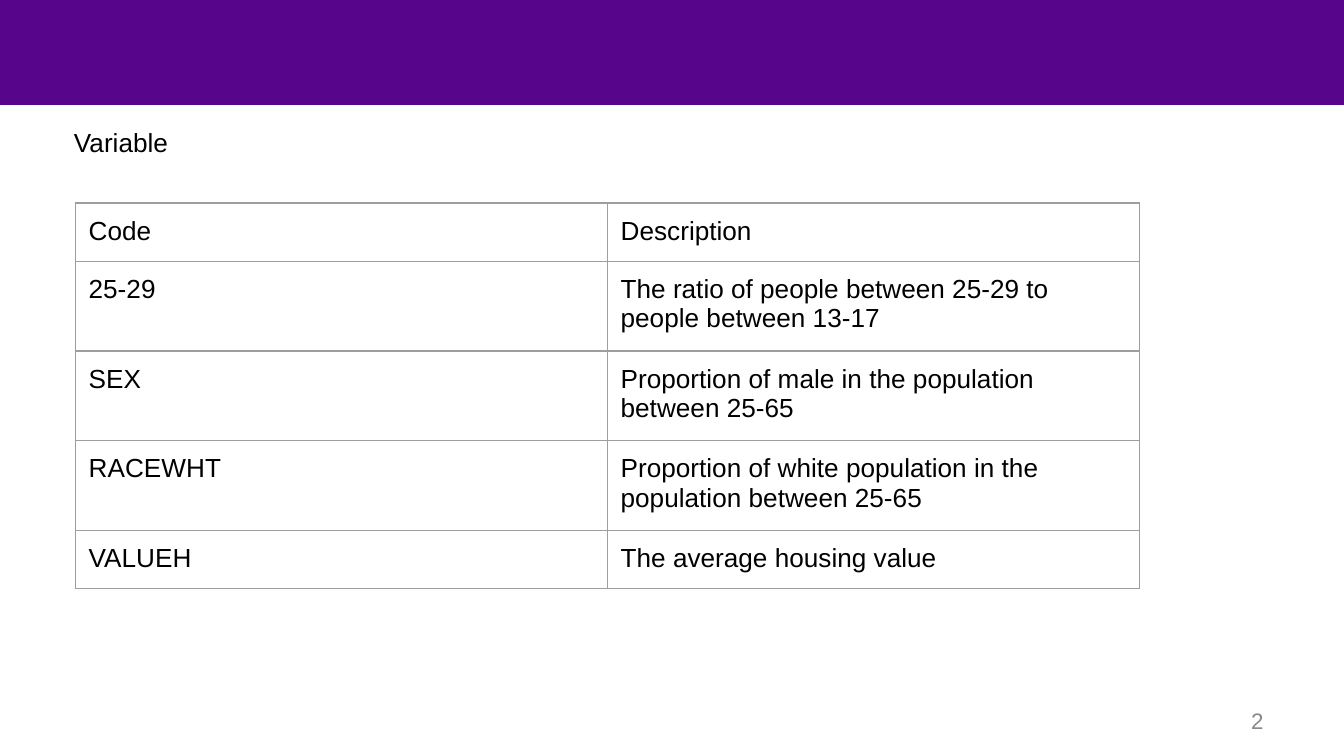
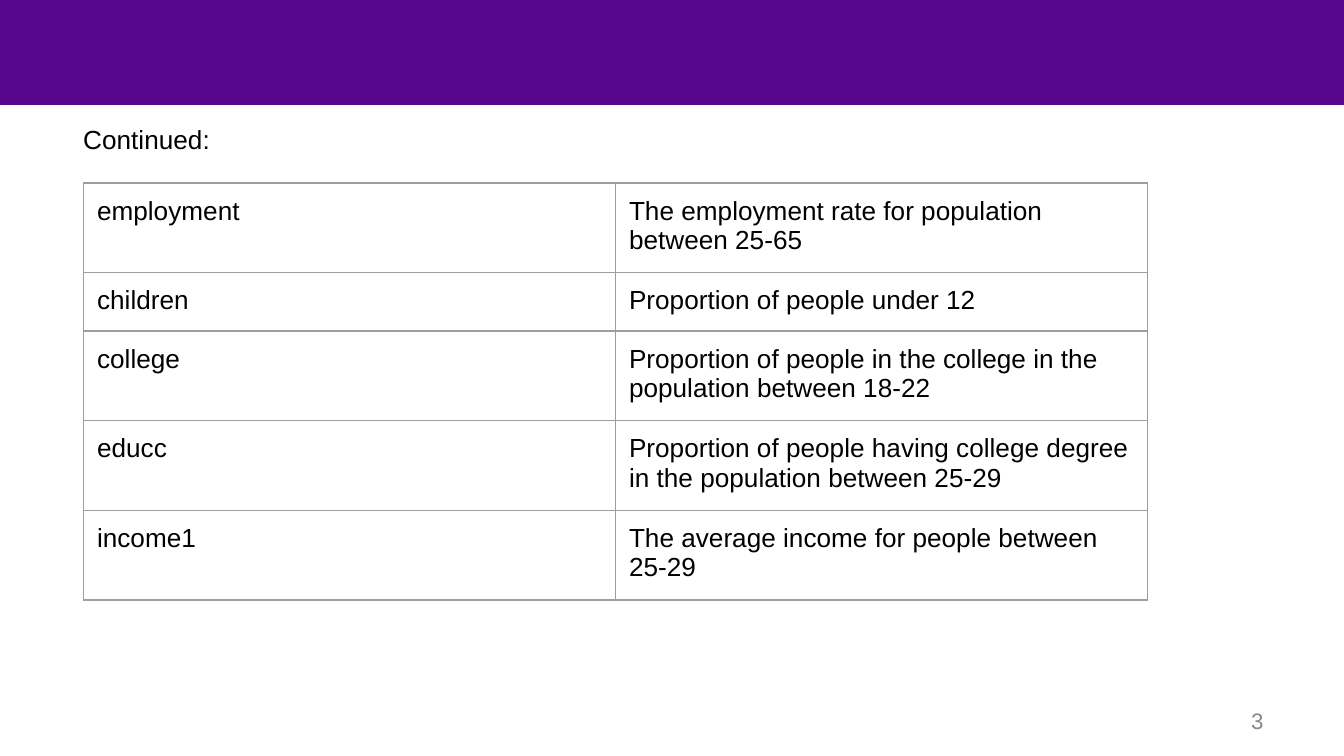
from dataclasses import dataclass

from lxml.etree import SubElement
from pptx import Presentation
from pptx.dml.color import RGBColor
from pptx.enum.shapes import MSO_SHAPE as Preset
from pptx.enum.text import MSO_ANCHOR as Anchor, MSO_AUTO_SIZE as AutoSize, PP_ALIGN as Align
from pptx.oxml.ns import qn
from pptx.util import Pt

PAGES = [
    {
        "number": "2",
        "heading": "Variable",
        "heading_at": (32.4, 60.5, 654.5, 296),
        "table_at": (40.3, 108.7),
        "rows": [
            ("Code", "Description"),
            ("25-29", "The ratio of people between 25-29 to people between 13-17"),
            ("SEX", "Proportion of male in the population between 25-65"),
            ("RACEWHT", "Proportion of white population in the population between 25-65"),
            ("VALUEH", "The average housing value"),
        ],
    },
    {
        "number": "3",
        "heading": "Continued:",
        "heading_at": (37.4, 59, 654.5, 246.2),
        "table_at": (44.8, 98),
        "rows": [
            ("employment", "The employment rate for population between 25-65"),
            ("children", "Proportion of people under 12"),
            ("college", "Proportion of people in the college in the population between 18-22"),
            ("educc", "Proportion of people having college degree in the population between 25-29"),
            ("income1", "The average income for people between 25-29"),
        ],
    },
]


@dataclass(frozen=True)
class Theme:
    font: str = "Arial"
    band: str = "57068C"
    text: str = "000000"
    muted: str = "898989"
    border: str = "9E9E9E"
    body_size: float = 14
    number_size: float = 12
    border_width: float = 0.75
    inset: float = 7.2


THEME = Theme()
SLIDE_SIZE = (720, 405)
BAND_AT = (0, 0, 720.7, 56.2)
NUMBER_AT = (516.2, 375.1, 167.8, 21.6)
COLUMN_WIDTH = 285
ROW_HEIGHT = 30


def points(values):
    return [Pt(value) for value in values]


def write(frame, text, *, size=THEME.body_size, color=THEME.text, align=Align.LEFT):
    para = frame.paragraphs[0]
    para.alignment = align
    para.space_before = Pt(0)
    span = para.add_run()
    span.text = text
    span.font.name = THEME.font
    span.font.size = Pt(size)
    span.font.color.rgb = RGBColor.from_string(color)
    return para


def set_insets(target, side=THEME.inset, end=THEME.inset):
    """Set the margins of a text frame or a table cell."""
    target.margin_left = target.margin_right = Pt(side)
    target.margin_top = target.margin_bottom = Pt(end)


def add_band(page):
    band = page.shapes.add_shape(Preset.RECTANGLE, *points(BAND_AT))
    band.shadow.inherit = False
    band.fill.solid()
    band.fill.fore_color.rgb = RGBColor.from_string(THEME.band)
    band.line.fill.background()


def fill_heading(page, text, place):
    box = page.placeholders[1]
    box.left, box.top, box.width, box.height = points(place)
    frame = box.text_frame
    frame.word_wrap = True
    frame.auto_size = AutoSize.NONE
    frame.vertical_anchor = Anchor.TOP
    set_insets(frame)
    props = write(frame, text)._p.get_or_add_pPr()
    props.set("marL", "0")
    props.set("indent", "0")
    SubElement(props, qn("a:buNone"))


def add_number(page, number):
    frame = page.shapes.add_textbox(*points(NUMBER_AT)).text_frame
    frame.word_wrap = True
    frame.vertical_anchor = Anchor.MIDDLE
    set_insets(frame, end=3.6)
    write(frame, number, size=THEME.number_size, color=THEME.muted, align=Align.RIGHT)


def add_borders(cell):
    props = cell._tc.get_or_add_tcPr()
    for side in ("lnL", "lnR", "lnT", "lnB"):
        line = SubElement(props, qn(f"a:{side}"), w=str(Pt(THEME.border_width)))
        SubElement(SubElement(line, qn("a:solidFill")), qn("a:srgbClr"), val=THEME.border)


def add_variables(page, rows, corner):
    count = len(rows[0])
    size = (COLUMN_WIDTH * count, ROW_HEIGHT * len(rows))
    table = page.shapes.add_table(len(rows), count, *points(corner + size)).table
    table.first_row = table.horz_banding = False
    for row_index, row in enumerate(rows):
        for column_index, text in enumerate(row):
            cell = table.cell(row_index, column_index)
            set_insets(cell)
            add_borders(cell)
            cell.fill.background()
            write(cell.text_frame, text)


def main():
    deck = Presentation()
    deck.slide_width, deck.slide_height = points(SLIDE_SIZE)
    for content in PAGES:
        page = deck.slides.add_slide(deck.slide_layouts[1])
        title = page.shapes.title.element
        title.getparent().remove(title)
        add_band(page)
        fill_heading(page, content["heading"], content["heading_at"])
        add_number(page, content["number"])
        add_variables(page, content["rows"], content["table_at"])
    deck.save("out.pptx")


if __name__ == "__main__":
    main()
